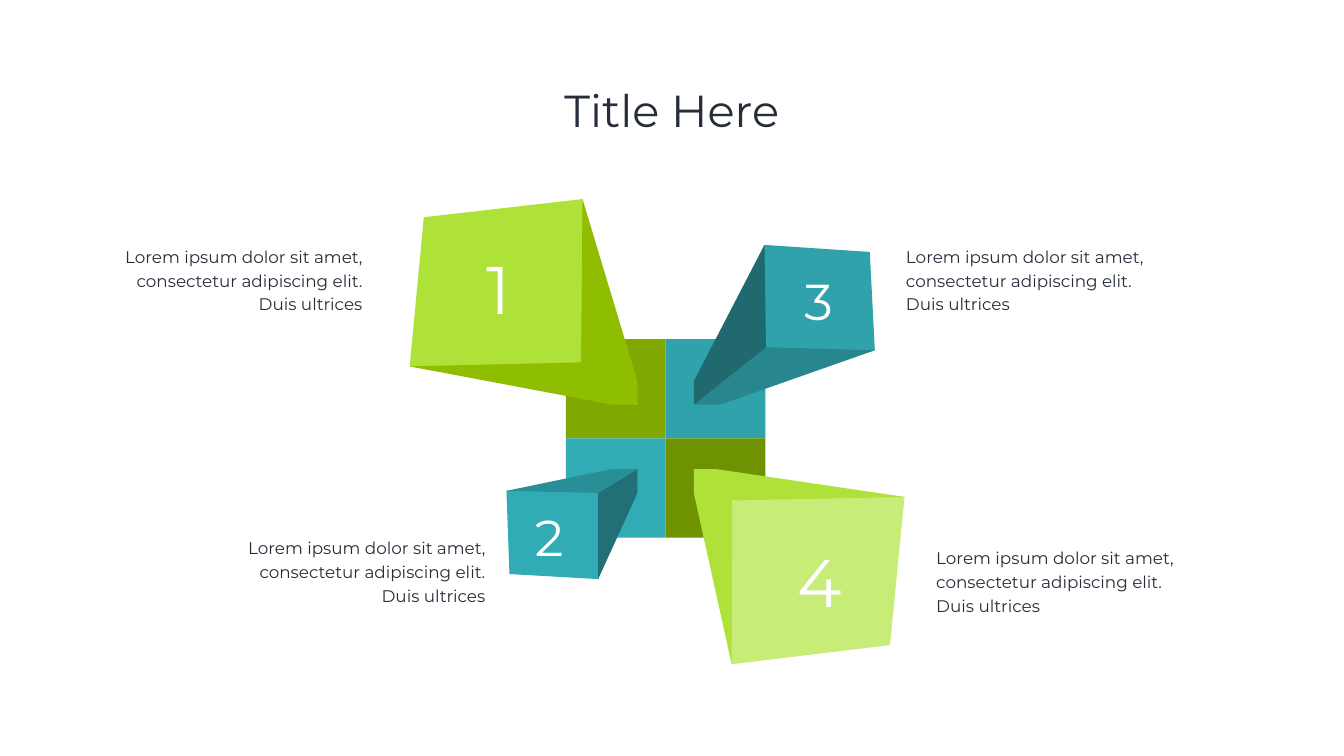
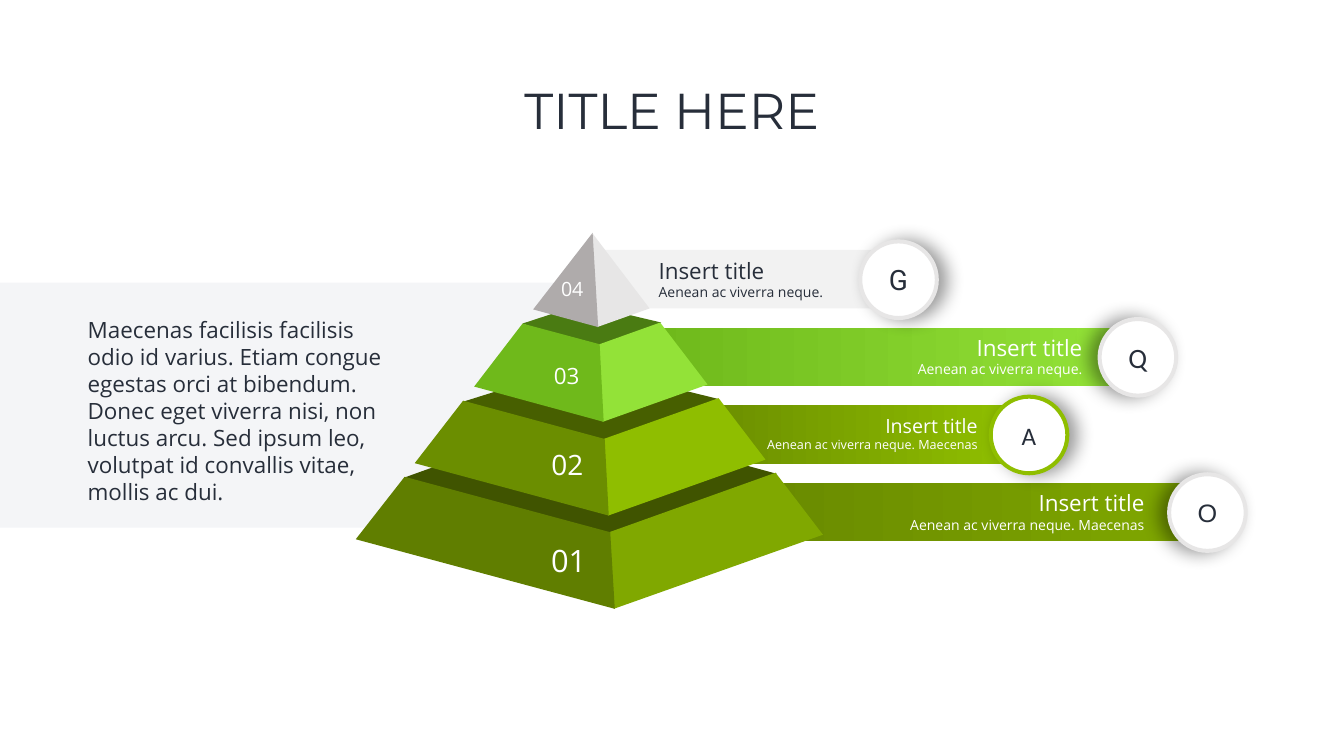
from lxml.etree import SubElement
from pptx import Presentation
from pptx.dml.color import RGBColor
from pptx.enum.shapes import MSO_SHAPE
from pptx.enum.text import MSO_ANCHOR, MSO_AUTO_SIZE, PP_ALIGN
from pptx.oxml.ns import qn
from pptx.util import Pt

PX = 9144  # EMU in one px, 100 px to the inch
WIDE, HIGH = 2667, 1500

# Text and neutral colours
INK = RGBColor(0x27, 0x2E, 0x3A)
WHITE = RGBColor(0xFF, 0xFF, 0xFF)
BLACK = RGBColor(0x00, 0x00, 0x00)
PANEL = RGBColor(0xE6, 0xE9, 0xEE)
PALE = RGBColor(0xF2, 0xF2, 0xF2)
SILVER = RGBColor(0xE7, 0xE6, 0xE6)
GREY = RGBColor(0xAF, 0xAB, 0xAB)

# Greens
LIME = RGBColor(0xAE, 0xE2, 0x38)
LIGHT = RGBColor(0xC8, 0xEC, 0x78)
LEAF = RGBColor(0x8F, 0xBE, 0x00)
OLIVE = RGBColor(0x80, 0xA8, 0x00)
MOSS = RGBColor(0x6F, 0x92, 0x00)
FERN = RGBColor(0x6B, 0x8E, 0x00)
PINE = RGBColor(0x60, 0x7E, 0x00)
BRIGHT = RGBColor(0x93, 0xE2, 0x38)
GRASS = RGBColor(0x6F, 0xB9, 0x1B)
TOP_1 = RGBColor(0x40, 0x54, 0x00)
TOP_2 = RGBColor(0x47, 0x5F, 0x00)
TOP_3 = RGBColor(0x4A, 0x7B, 0x12)

# Teals
TEAL = RGBColor(0x2F, 0xA2, 0xAB)
TEAL_MID = RGBColor(0x27, 0x86, 0x8E)
TEAL_DARK = RGBColor(0x1F, 0x69, 0x6F)
AQUA = RGBColor(0x31, 0xAC, 0xB5)
AQUA_MID = RGBColor(0x29, 0x8F, 0x96)
AQUA_DARK = RGBColor(0x20, 0x70, 0x76)

HEAD, BODY = "Montserrat", "Open Sans"
LEFT, MID, RIGHT = PP_ALIGN.LEFT, PP_ALIGN.CENTER, PP_ALIGN.RIGHT


class Deck:
    """Holds the shared style and the current slide."""

    def __init__(self):
        self.prs = Presentation()
        self.prs.slide_width = WIDE * PX
        self.prs.slide_height = HIGH * PX
        self.slide = None

    def start(self, title, size):
        self.slide = self.prs.slides.add_slide(self.prs.slide_layouts[5])
        box = self.slide.shapes.title
        box.left, box.top, box.width, box.height = self.scale(183, 80, 2300, 290)
        box.text_frame.vertical_anchor = MSO_ANCHOR.MIDDLE
        self.style(box.text_frame, [(title, size)], HEAD, INK, MID)
        box.text_frame.paragraphs[0].line_spacing = 0.9

    def scale(self, *nums):
        return [num * PX for num in nums]

    def style(self, frame, lines, font, color, align):
        """Fill a frame with one paragraph for each (text, size)."""
        frame.text = "\n".join(text for text, _ in lines)
        for par, (_, size) in zip(frame.paragraphs, lines):
            par.alignment = align
            for run in par.runs:
                run.font.name = font
                run.font.size = Pt(size)
                run.font.color.rgb = color

    def text(self, at, lines, font=BODY, color=INK, align=LEFT, lead=None):
        frame = self.slide.shapes.add_textbox(*self.scale(*at)).text_frame
        frame.word_wrap = True
        frame.auto_size = MSO_AUTO_SIZE.SHAPE_TO_FIT_TEXT
        self.style(frame, lines, font, color, align)
        if lead:
            for par in frame.paragraphs:
                par.line_spacing = Pt(lead)
        return frame

    def label(self, at, text, size, font):
        frame = self.text(at, [(text, size)], font, WHITE, MID)
        frame.word_wrap = False
        frame.vertical_anchor = MSO_ANCHOR.MIDDLE

    def paint(self, shape, color):
        shape.shadow.inherit = False
        shape.fill.solid()
        shape.fill.fore_color.rgb = color
        shape.line.fill.background()
        return shape

    def rect(self, at, color, alpha=None):
        shape = self.slide.shapes.add_shape(MSO_SHAPE.RECTANGLE, *self.scale(*at))
        self.paint(shape, color)
        if alpha:
            tone = shape.element.spPr.find(".//" + qn("a:srgbClr"))
            SubElement(tone, qn("a:alpha"), val=str(alpha * 1000))
        return shape

    def bar(self, at, start, end):
        shape = self.rect(at, start)
        if start != end:
            shape.fill.gradient()
            shape.fill.gradient_angle = 0
            for stop, color, place in zip(shape.fill.gradient_stops, (start, end), (0, 1)):
                stop.color.rgb = color
                stop.position = place

    def face(self, points, color):
        first, *rest = points
        build = self.slide.shapes.build_freeform(*first, scale=PX)
        build.add_line_segments(rest, close=True)
        self.paint(build.convert_to_shape(), color)

    def badge(self, left, top, letter, size, font, ring, angle):
        at = self.scale(left, top, 152, 152)
        shape = self.paint(self.slide.shapes.add_shape(MSO_SHAPE.OVAL, *at), WHITE)
        shape.line.color.rgb = ring
        shape.line.width = Pt(5.75)
        shade = SubElement(
            shape.element.spPr.find(qn("a:effectLst")), qn("a:outerShdw"),
            blurRad=str(Pt(26)), dist=str(Pt(12)), dir=str(angle * 60000),
            algn="ctr", rotWithShape="0")
        tone = SubElement(shade, qn("a:srgbClr"), val=str(BLACK))
        SubElement(tone, qn("a:alpha"), val="40000")
        shape.text_frame.vertical_anchor = MSO_ANCHOR.MIDDLE
        self.style(shape.text_frame, [(letter, size)], font, INK, MID)


# Cubes: column and row of the tile, tile colour, faces from back to front
CUBES = [
    (0, 0, OLIVE, [
        ([(1156, 395), (1265, 803), (813, 727), (841, 431)], LIME),
        ([(1156, 395), (1265, 757), (1265, 803), (1153, 719)], LEAF),
        ([(1153, 719), (1265, 803), (1216, 803), (813, 727)], LEAF)]),
    (1, 0, TEAL, [
        ([(1726, 500), (1736, 695), (1377, 803), (1517, 486)], TEAL),
        ([(1736, 695), (1429, 803), (1377, 803), (1520, 689)], TEAL_MID),
        ([(1520, 689), (1377, 803), (1377, 756), (1517, 486)], TEAL_DARK)]),
    (1, 1, MOSS, [
        ([(1795, 986), (1766, 1280), (1452, 1318), (1377, 931)], LIGHT),
        ([(1452, 1318), (1377, 979), (1377, 931), (1453, 993)], LIME),
        ([(1453, 993), (1377, 931), (1423, 931), (1795, 986)], LIME)]),
    (0, 1, AQUA, [
        ([(1265, 931), (1187, 1149), (1011, 1139), (1005, 974)], AQUA),
        ([(1187, 978), (1265, 931), (1265, 978), (1187, 1149)], AQUA_DARK),
        ([(1005, 974), (1212, 931), (1265, 931), (1187, 978)], AQUA_MID)]),
]
DIGITS = [
    ((955, 485, 69, 172), "1", 96),
    ((1586, 531, 77, 131), "3", 72),
    ((1573, 1065, 109, 172), "4", 96),
    ((1051, 998, 78, 131), "2", 72),
]
NOTE = "Lorem ipsum dolor sit amet, consectetur adipiscing elit. Duis ultrices"
NOTES = [(222, 477, RIGHT), (1788, 477, LEFT), (1848, 1075, LEFT), (466, 1055, RIGHT)]

# Bars: place, colours, badge, text box, sizes, line, text colour and side
SHORT, LONG = "Aenean ac viverra neque.", "Aenean ac viverra neque. Maecenas"
BARS = [
    ((1166, 958, 1233, 116), PINE, OLIVE,
     (2320, 941, "O", 36, "Arial", SILVER, 180),
     (1692, 966, 589, 98), (32, 20), LONG, WHITE, RIGHT),
    ((1295, 650, 936, 116), GRASS, BRIGHT,
     (2182, 633, "Q", 40, "Calibri", SILVER, 180),
     (1781, 657, 377, 98), (32, 20), SHORT, WHITE, RIGHT),
    ((1399, 804, 600, 116), FERN, LEAF,
     (1966, 787, "A", 36, "Calibri", LEAF, 0),
     (1477, 816, 473, 91), (28, 18), LONG, WHITE, RIGHT),
    ((1193, 496, 543, 116), PALE, PALE,
     (1707, 479, "G", 40, "Roboto", SILVER, 0),
     (1297, 505, 377, 98), (32, 20), SHORT, INK, LEFT),
]

# Pyramid tiers from the base up: faces, then the number
TIERS = [
    ([([(804, 947), (1133, 829), (1541, 940), (1213, 1082)], TOP_1),
      ([(1539, 938), (1209, 1056), (1218, 1208), (1633, 1061)], OLIVE),
      ([(1211, 1056), (1220, 1208), (706, 1070), (803, 946)], PINE)],
     (1083, 1070, 91, 84), 44),
    ([([(919, 797), (1152, 724), (1427, 792), (1200, 872)], TOP_2),
      ([(1426, 790), (1198, 871), (1207, 1023), (1519, 912)], LEAF),
      ([(1208, 1023), (1200, 871), (919, 795), (823, 919)], FERN)],
     (1084, 882, 84, 77), 40),
    ([([(1037, 642), (1156, 603), (1312, 640), (1191, 700)], TOP_3),
      ([(1310, 640), (1187, 684), (1196, 837), (1404, 763)], BRIGHT),
      ([(1198, 837), (1190, 683), (1037, 642), (941, 767)], GRASS)],
     (1089, 714, 71, 64), 32),
    ([([(1175, 462), (1185, 649), (1289, 612)], SILVER),
      ([(1187, 649), (1058, 614), (1176, 462)], GREY)],
     (1103, 544, 65, 57), 28),
]
STORY = [
    "Maecenas facilisis facilisis odio id varius. Etiam congue egestas orci at bibendum.",
    "Donec eget viverra nisi, non luctus arcu. Sed ipsum leo, volutpat id convallis "
    "vitae, mollis ac dui.",
]


def cubes(deck):
    deck.start("Title Here", 64)
    for col, row, color, faces in CUBES:
        deck.rect((1123 + 198 * col, 673 + 197 * row, 198, 197), color)
        for points, tone in faces:
            deck.face(points, tone)
    for at, digit, size in DIGITS:
        deck.label(at, digit, size, HEAD)
    for left, top, align in NOTES:
        deck.text((left, top, 507, 149), [(NOTE, 24)], HEAD, INK, align, 34)


def pyramid(deck):
    deck.start("TITLE HERE", 72)
    # Bars with their badges
    for at, start, end, badge, box, sizes, line, color, align in BARS:
        deck.bar(at, start, end)
        deck.badge(*badge)
        deck.text(box, list(zip(("Insert title", line), sizes)), BODY, color, align)
    # Side panel
    deck.rect((0, 561, 1112, 486), PANEL, 42)
    deck.text((164, 623, 622, 387), [(text, 32) for text in STORY])
    # Tiers
    for num, (faces, at, size) in enumerate(TIERS, 1):
        for points, tone in faces:
            deck.face(points, tone)
        deck.label(at, f"{num:02d}", size, BODY)


def main():
    deck = Deck()
    cubes(deck)
    pyramid(deck)
    deck.prs.save("out.pptx")


if __name__ == "__main__":
    main()
